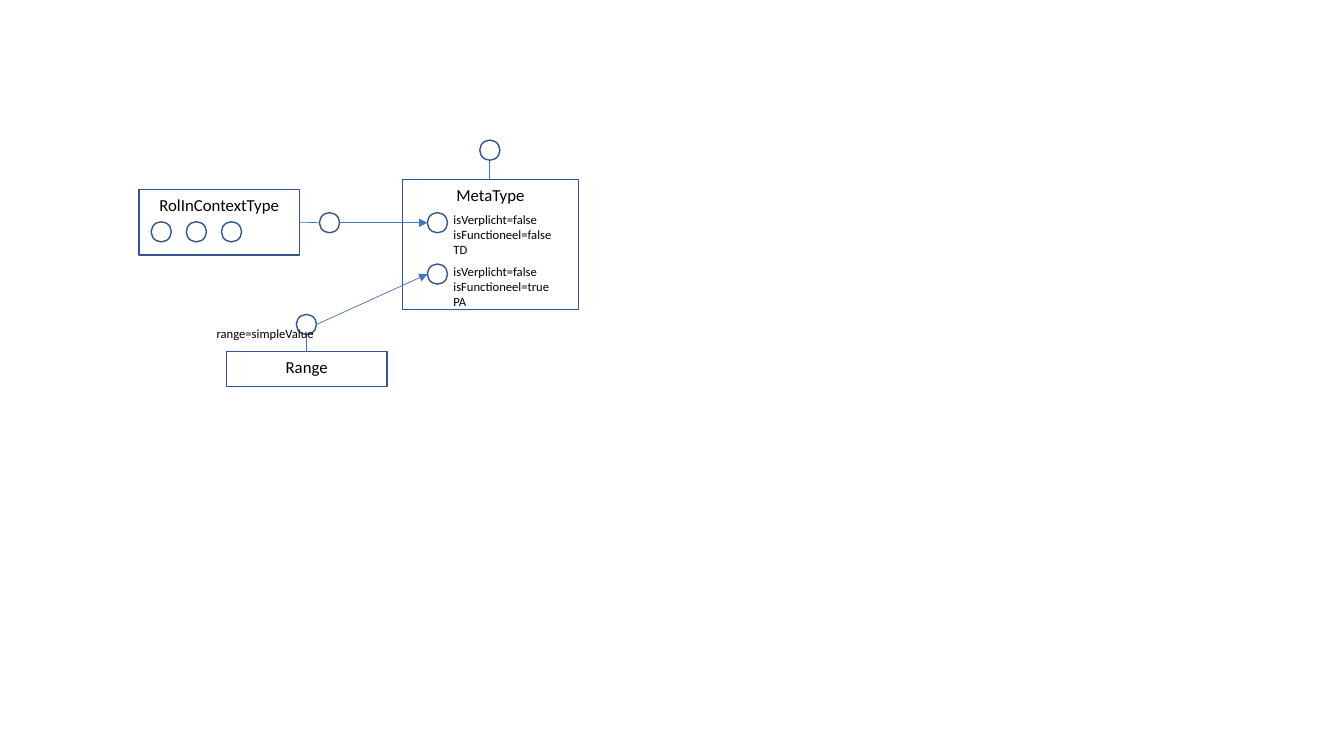
from dataclasses import dataclass
from lxml.etree import SubElement
from pptx import Presentation
from pptx.dml.color import RGBColor
from pptx.enum.shapes import MSO_CONNECTOR as Conn, MSO_SHAPE as Kind
from pptx.enum.text import MSO_ANCHOR as Anchor, MSO_AUTO_SIZE as Fit, PP_ALIGN as Align
from pptx.oxml.ns import qn
from pptx.util import Pt


@dataclass(frozen=True)
class Theme:
    font: str = "Calibri"
    ink: str = "000000"
    edge: str = "325491"
    link: str = "4472C4"
    title: float = 12
    note: float = 9
    thick: float = 1
    thin: float = 0.5


THEME = Theme()
SIZE = (960, 540)
R = 7.2  # circle radius

# name: left, top, width, height
BOXES = {
    "MetaType": (287.3, 128.2, 126, 92.9),
    "RolInContextType": (99.2, 135.2, 114.8, 47),
    "Range": (161.7, 251.1, 114.8, 25.2),
}

# circle centres
NODES = {
    "meta": (349.9, 107.3),
    "td": (312.5, 159.1),
    "pa": (312.5, 195.8),
    "rol": (235.4, 159.1),
    "range": (218.9, 231.8),
}
ROW_X, ROW_Y, ROW_STEP, ROW_COUNT = 115.2, 165.6, 25.1, 3

# lines, left, top, width, height
NOTES = [
    (["isVerplicht=false", "isFunctioneel=false", "TD"], 316.8, 147.6, 85.7, 40.3),
    (["isVerplicht=false", "isFunctioneel=true", "PA"], 316.8, 184.8, 83.5, 40.3),
    (["range=simpleValue"], 147.6, 229.2, 85.7, 18),
]


def style(para, size):
    font = para.font
    font.name, font.size = THEME.font, Pt(size)
    font.color.rgb = RGBColor.from_string(THEME.ink)


def outline(slide, kind, *rect):
    """Add an unfilled shape with the edge colour."""
    shape = slide.shapes.add_shape(kind, *map(Pt, rect))
    shape.shadow.inherit = False
    shape.fill.background()
    shape.line.color.rgb = RGBColor.from_string(THEME.edge)
    shape.line.width = Pt(THEME.thick)
    return shape


def box(slide, name, rect):
    frame = outline(slide, Kind.RECTANGLE, *rect).text_frame
    frame.vertical_anchor = Anchor.TOP
    para = frame.paragraphs[0]
    para.text, para.alignment = name, Align.CENTER
    style(para, THEME.title)


def circle(slide, x, y):
    outline(slide, Kind.OVAL, x - R, y - R, 2 * R, 2 * R)


def link(slide, start, end, arrow=False):
    line = slide.shapes.add_connector(Conn.STRAIGHT, *map(Pt, (*start, *end)))
    line.line.color.rgb = RGBColor.from_string(THEME.link)
    line.line.width = Pt(THEME.thin)
    props = line._element.spPr
    if arrow:
        SubElement(props.find(qn("a:ln")), qn("a:tailEnd"), type="triangle")
    SubElement(props, qn("a:effectLst"))


def note(slide, lines, *rect):
    frame = slide.shapes.add_textbox(*map(Pt, rect)).text_frame
    frame.word_wrap = False
    frame.auto_size = Fit.SHAPE_TO_FIT_TEXT
    frame.text = "\n".join(lines)
    for para in frame.paragraphs:
        style(para, THEME.note)


def side(name, dx, dy):
    """Point on a circle's rim in the given direction."""
    x, y = NODES[name]
    return x + dx * R, y + dy * R


def main():
    deck = Presentation()
    deck.slide_width, deck.slide_height = map(Pt, SIZE)
    slide = deck.slides.add_slide(deck.slide_layouts[6])

    for name, rect in BOXES.items():
        box(slide, name, rect)
    row = [(ROW_X + i * ROW_STEP, ROW_Y) for i in range(ROW_COUNT)]
    for x, y in [*NODES.values(), *row]:
        circle(slide, x, y)

    left, top, width, height = BOXES["RolInContextType"]
    link(slide, (left + width, top + height / 2), side("rol", -1, 0))
    link(slide, (NODES["meta"][0], BOXES["MetaType"][1]), side("meta", 0, 1))
    link(slide, (NODES["range"][0], BOXES["Range"][1]), side("range", 0, 1))
    for start, end in [("rol", "td"), ("range", "pa")]:
        link(slide, side(start, 1, 0), side(end, -1, 0), arrow=True)

    for lines, *rect in NOTES:
        note(slide, lines, *rect)
    deck.save("out.pptx")


if __name__ == "__main__":
    main()
